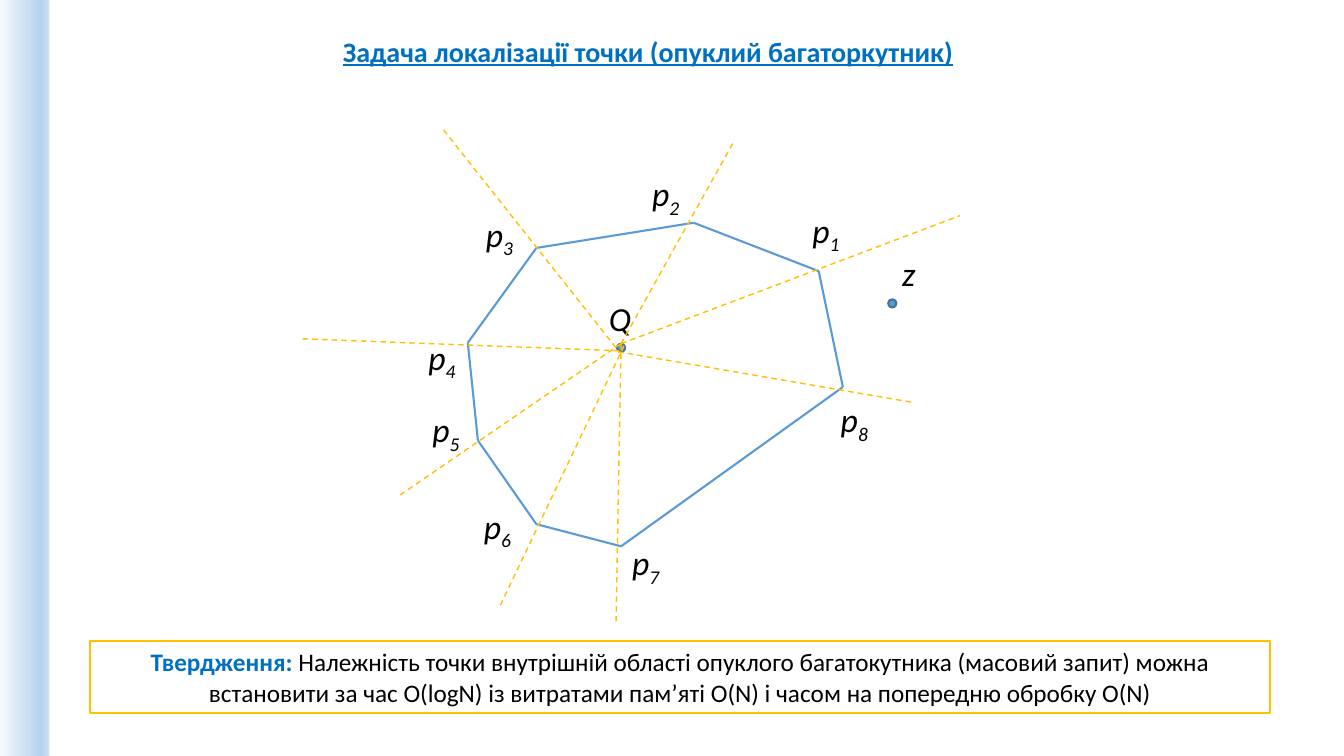
from copy import deepcopy
from dataclasses import dataclass

from lxml import etree
from pptx import Presentation
from pptx.dml.color import RGBColor
from pptx.enum.dml import MSO_LINE
from pptx.enum.shapes import MSO_CONNECTOR, MSO_SHAPE
from pptx.enum.text import MSO_ANCHOR, PP_ALIGN
from pptx.oxml.ns import qn

STRAIGHT = MSO_CONNECTOR.STRAIGHT
OVAL, RECTANGLE = MSO_SHAPE.OVAL, MSO_SHAPE.RECTANGLE
DASH = MSO_LINE.DASH
CENTER, LEFT = PP_ALIGN.CENTER, PP_ALIGN.LEFT
MIDDLE, TOP = MSO_ANCHOR.MIDDLE, MSO_ANCHOR.TOP

PX = 9144
PT = 12700
FONT = "Calibri"
TITLE_LAYOUT = 5
DOT_SIZE = 8
LABEL_HEIGHT = 50
COLORS = {
    "heading": "0070C0",
    "text": "000000",
    "edge": "5B9BD5",
    "dot_line": "43739E",
    "ray": "FFC000",
}
STRIP_STOPS = ((0, "F7FAFD"), (0.83, "B5D2EC"), (1, "CEE1F2"))

Point = tuple[int, int]


@dataclass
class Vertex:
    index: str
    at: Point
    label_at: Point
    ray_start: Point
    ray_end: Point


@dataclass
class MarkedPoint:
    name: str
    dot_at: Point
    label_at: Point


VERTICES = [
    Vertex("1", (812, 269), (796, 203), (616, 341), (952, 214)),
    Vertex("2", (688, 221), (637, 167), (616, 341), (727, 142)),
    Vertex("3", (532, 246), (472, 207), (611, 345), (440, 129)),
    Vertex("4", (464, 340), (415, 329), (614, 348), (297, 336)),
    Vertex("5", (474, 437), (419, 401), (616, 341), (397, 491)),
    Vertex("6", (532, 520), (470, 497), (619, 343), (496, 601)),
    Vertex("7", (616, 542), (617, 533), (616, 341), (611, 617)),
    Vertex("8", (836, 384), (824, 391), (613, 349), (904, 399)),
]
MARKED_POINTS = [
    MarkedPoint("Q", (612, 341), (594, 291)),
    MarkedPoint("z", (881, 297), (885, 246)),
]


def rgb(name: str) -> RGBColor:
    return RGBColor.from_string(COLORS[name])


def place(shape, left: int, top: int, width: int, height: int) -> None:
    shape.left, shape.top = left * PX, top * PX
    shape.width, shape.height = width * PX, height * PX


def set_font(font, size: int, color: str) -> None:
    font.name = FONT
    font.size = size * PT
    font.color.rgb = rgb(color)


def add_line(slide, start: Point, end: Point, color: str, width: float, dash=None) -> None:
    line = slide.shapes.add_connector(STRAIGHT, *(value * PX for value in start + end))
    line.line.color.rgb = rgb(color)
    line.line.width = int(width * PT)
    if dash is not None:
        line.line.dash_style = dash
    etree.SubElement(line._element.spPr, qn("a:effectLst"))


def add_label(slide, at: Point, width: int, letter: str, index: str = "") -> None:
    label = slide.shapes.add_textbox(0, 0, 0, 0)
    place(label, *at, width, LABEL_HEIGHT)
    label.text_frame.word_wrap = True
    paragraph = label.text_frame.paragraphs[0]
    set_font(paragraph.font, 24, "text")
    paragraph.font.italic = True
    paragraph.add_run().text = letter
    if index:
        subscript = paragraph.add_run()
        subscript.text = index
        subscript.font._element.set("baseline", "-25000")


def add_dot(slide, at: Point) -> None:
    dot = slide.shapes.add_shape(OVAL, 0, 0, 0, 0)
    place(dot, *at, DOT_SIZE, DOT_SIZE)
    dot.shadow.inherit = False
    dot.fill.solid()
    dot.fill.fore_color.rgb = rgb("edge")
    dot.line.color.rgb = rgb("dot_line")
    dot.line.width = int(1.5 * PT)


def add_strip(slide) -> None:
    strip = slide.shapes.add_shape(RECTANGLE, 0, 0, 0, 0)
    place(strip, 0, 0, 49, 750)
    strip.shadow.inherit = False
    strip.line.fill.background()
    strip.fill.gradient()
    strip.fill.gradient_angle = 0
    stop_list = strip._element.spPr.find(".//" + qn("a:gsLst"))
    stop_list.append(deepcopy(stop_list[0]))
    for stop, (position, color) in zip(strip.fill.gradient_stops, STRIP_STOPS):
        stop.position = position
        stop.color.rgb = RGBColor.from_string(color)


def fill_title(slide) -> None:
    title = slide.shapes.title
    place(title, 330, 29, 634, 44)
    title.text_frame.text = "Задача локалізації точки (опуклий багаторкутник)"
    title.text_frame.word_wrap = False
    title.text_frame.vertical_anchor = TOP
    paragraph = title.text_frame.paragraphs[0]
    paragraph.alignment = LEFT
    set_font(paragraph.font, 20, "heading")
    paragraph.font.bold = True
    paragraph.font.underline = True


def add_statement(slide) -> None:
    statement = slide.shapes.add_shape(RECTANGLE, 0, 0, 0, 0)
    place(statement, 89, 636, 1171, 71)
    statement.shadow.inherit = False
    statement.fill.background()
    statement.line.color.rgb = rgb("ray")
    statement.line.width = int(1.5 * PT)
    statement.text_frame.word_wrap = True
    statement.text_frame.vertical_anchor = MIDDLE
    paragraph = statement.text_frame.paragraphs[0]
    paragraph.alignment = CENTER
    lead = paragraph.add_run()
    lead.text = "Твердження:"
    set_font(lead.font, 18, "heading")
    lead.font.bold = True
    claim = paragraph.add_run()
    claim.text = (
        " Належність точки внутрішній області опуклого багатокутника (масовий запит) "
        "можна встановити за час О(logN) із витратами пам’яті О(N) "
        "і часом на попередню обробку О(N)"
    )
    set_font(claim.font, 18, "text")


def main() -> None:
    deck = Presentation()
    deck.slide_width, deck.slide_height = 1333 * PX, 750 * PX
    slide = deck.slides.add_slide(deck.slide_layouts[TITLE_LAYOUT])
    add_strip(slide)
    fill_title(slide)
    for vertex, following in zip(VERTICES, VERTICES[1:] + VERTICES[:1]):
        add_line(slide, vertex.at, following.at, "edge", 1.5)
    for point in MARKED_POINTS:
        add_dot(slide, point.dot_at)
        add_label(slide, point.label_at, 45, point.name)
    for vertex in VERTICES:
        add_line(slide, vertex.ray_start, vertex.ray_end, "ray", 1, DASH)
        add_label(slide, vertex.label_at, 88, "p", vertex.index)
    add_statement(slide)
    deck.save("out.pptx")


if __name__ == "__main__":
    main()
